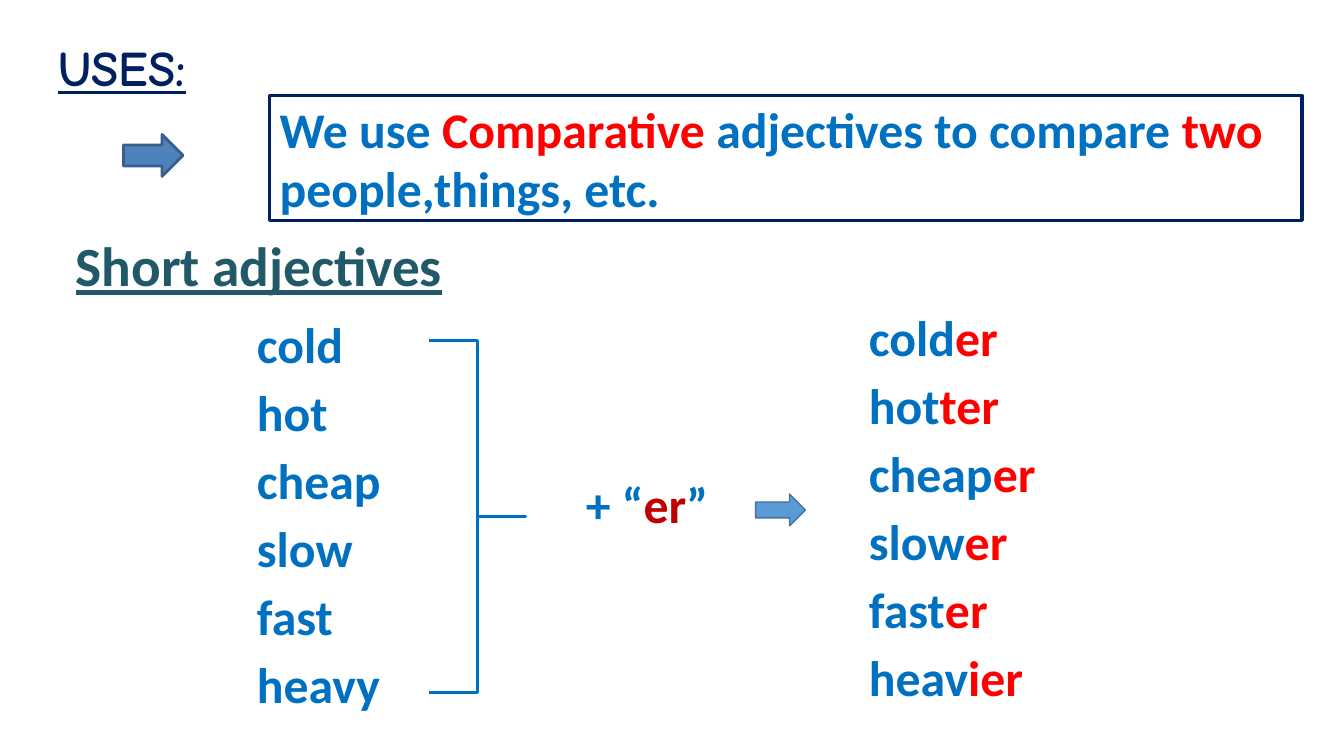
"""Builds a slide on the comparative form of short adjectives."""
from lxml import etree
from pptx import Presentation
from pptx.dml.color import RGBColor
from pptx.enum.shapes import MSO_SHAPE
from pptx.enum.text import MSO_ANCHOR, MSO_AUTO_SIZE, PP_ALIGN
from pptx.oxml.ns import qn
from pptx.util import Cm, Pt

ARROW, BRACE = MSO_SHAPE.RIGHT_ARROW, MSO_SHAPE.RIGHT_BRACE
TOP, MIDDLE = MSO_ANCHOR.TOP, MSO_ANCHOR.MIDDLE
LEFT, NO_FIT = PP_ALIGN.LEFT, MSO_AUTO_SIZE.NONE

COLORS = {
    "navy": "002060", "blue": "0070C0", "red": "FF0000",
    "dark_red": "C00000", "teal": "215968",
    "arrow": "4F81BD", "arrow_line": "3A5F8C",
    "light_arrow": "5B9BD5", "light_arrow_line": "43739E",
}
ADJECTIVES = [
    ("cold", "cold", "er"), ("hot", "hot", "ter"), ("cheap", "cheap", "er"),
    ("slow", "slow", "er"), ("fast", "fast", "er"), ("heavy", "heav", "ier"),
]


def color(name):
    """Return the named colour."""
    return RGBColor.from_string(COLORS[name])


def place(sp, box):
    """Move and size a shape, given left, top, width and height in cm."""
    sp.left, sp.top, sp.width, sp.height = (Cm(v) for v in box)


def outline(sp, name, width):
    """Set the line of a shape."""
    sp.line.color.rgb = color(name)
    sp.line.width = Pt(width)


def remove_bullet(p):
    """Take the bullet and the indent off a paragraph."""
    pPr = p._p.get_or_add_pPr()
    pPr.set("marL", "0")
    pPr.set("indent", "0")
    etree.SubElement(pPr, qn("a:buNone"))


def write(sp, lines, size=36, font="Calibri", underline=False, anchor=TOP,
          gap=0, spacing=1.0, bullets_off=False, wrap=True):
    """Write bold lines, each a list of (text, colour) runs."""
    tf = sp.text_frame
    tf.word_wrap = wrap
    tf.auto_size = NO_FIT
    tf.vertical_anchor = anchor
    for i, runs in enumerate(lines):
        p = tf.add_paragraph() if i else tf.paragraphs[0]
        if bullets_off:
            remove_bullet(p)
        p.alignment = LEFT
        p.line_spacing = spacing
        p.space_before = Pt(gap if i else 0)
        for text, name in runs:
            r = p.add_run()
            r.text = text
            r.font.name = font
            r.font.size = Pt(size)
            r.font.bold = True
            r.font.underline = underline
            r.font.color.rgb = color(name)


def add_text(s, box, lines, **style):
    """Add a text box."""
    sp = s.shapes.add_textbox(*(Cm(v) for v in box))
    write(sp, lines, **style)


def add_arrow(s, box, fill, line, width):
    """Add a block arrow pointing right."""
    sp = s.shapes.add_shape(ARROW, *(Cm(v) for v in box))
    sp.shadow.inherit = False
    sp.fill.solid()
    sp.fill.fore_color.rgb = color(fill)
    outline(sp, line, width)


def add_brace(s, box):
    """Add a square-cornered brace that gathers the adjectives."""
    sp = s.shapes.add_shape(BRACE, *(Cm(v) for v in box))
    sp.shadow.inherit = False
    sp.adjustments[0] = 0
    sp.adjustments[1] = 0.5
    sp.fill.background()
    outline(sp, "blue", 2.25)


def main():
    """Build and save the slide."""
    prs = Presentation()
    prs.slide_width, prs.slide_height = Cm(34.29), Cm(19.05)
    s = prs.slides.add_slide(prs.slide_layouts[1])

    title, body = s.shapes.title, s.placeholders[1]
    place(title, (6.88, 2.44, 26.34, 3.18))
    outline(title, "navy", 2.25)
    write(title, [[("We use ", "blue"), ("Comparative", "red"),
                   (" adjectives to compare ", "blue"), ("two", "red"),
                   (" people,things, etc.", "blue")]], anchor=MIDDLE)
    place(body, (6.3, 7.87, 8.64, 10.46))
    write(body, [[(word, "blue")] for word, _, _ in ADJECTIVES],
          gap=6, bullets_off=True)

    add_text(s, (1.24, 0.81, 4.9, 1.8), [[("USES:", "navy")]],
             font="Comic Neue", underline=True)
    add_text(s, (1.68, 5.97, 9.98, 1.8), [[("Short adjectives", "teal")]],
             size=40, underline=True, spacing=0.9, wrap=False)
    add_text(s, (14.7, 12.12, 4.24, 2.11),
             [[("+ “", "blue"), ("er", "dark_red"), ("”", "blue")]],
             spacing=0.9)
    add_text(s, (21.92, 7.7, 6.78, 10.57),
             [[(stem, "blue"), (ending, "red")]
              for _, stem, ending in ADJECTIVES], gap=6)

    add_brace(s, (10.95, 8.69, 2.46, 8.97))
    add_arrow(s, (3.15, 3.43, 1.52, 1.07), "arrow", "arrow_line", 2)
    add_arrow(s, (19.28, 12.6, 1.27, 0.81),
              "light_arrow", "light_arrow_line", 1)
    prs.save("out.pptx")


if __name__ == "__main__":
    main()
